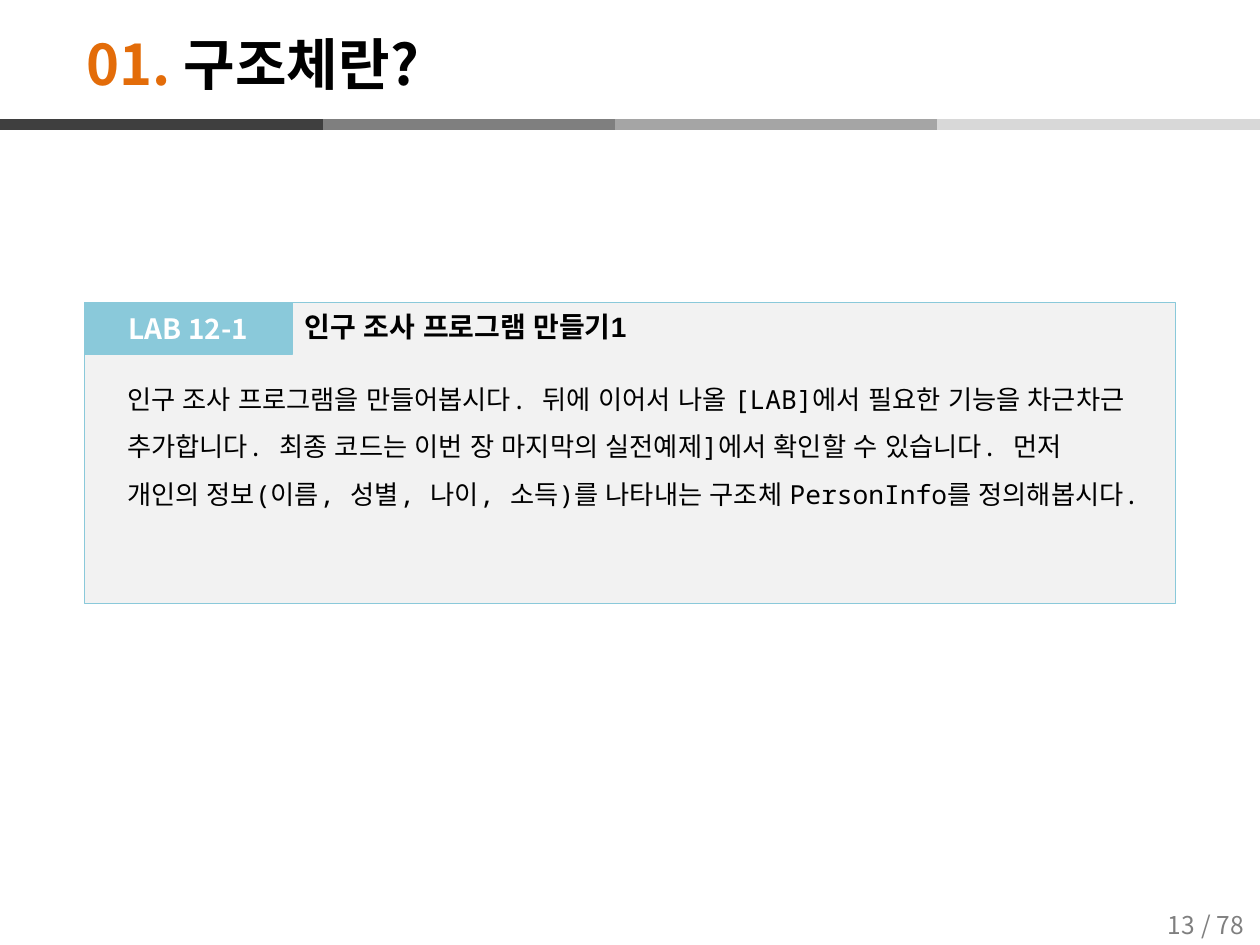
"""Build the slide that introduces LAB 12-1 on structures."""
from lxml import etree
from pptx import Presentation
from pptx.dml.color import RGBColor
from pptx.enum.lang import MSO_LANGUAGE_ID
from pptx.enum.shapes import MSO_CONNECTOR, MSO_SHAPE
from pptx.enum.text import MSO_ANCHOR, PP_ALIGN
from pptx.oxml.ns import qn
from pptx.util import Inches, Pt

RECT = MSO_SHAPE.RECTANGLE
STRAIGHT = MSO_CONNECTOR.STRAIGHT
LEFT, CENTER = PP_ALIGN.LEFT, PP_ALIGN.CENTER
TOP, MIDDLE = MSO_ANCHOR.TOP, MSO_ANCHOR.MIDDLE
KOREAN = MSO_LANGUAGE_ID.KOREAN

BLACK = RGBColor(0x00, 0x00, 0x00)
WHITE = RGBColor(0xFF, 0xFF, 0xFF)
ORANGE = RGBColor(0xE3, 0x6C, 0x09)
GRAY = RGBColor(0x7F, 0x7F, 0x7F)
PANEL = RGBColor(0xF2, 0xF2, 0xF2)
AQUA = RGBColor(0x8A, 0xC9, 0xDA)
RULE_COLORS = (GRAY, RGBColor(0xA5, 0xA5, 0xA5), RGBColor(0xD8, 0xD8, 0xD8))
RULE_START = RGBColor(0x3F, 0x3F, 0x3F)

SANS, MONO, ARIAL = "Noto Sans CJK KR", "Noto Sans Mono", "Arial"
TITLE = {"size": Pt(32), "bold": True, "name": SANS}
LABEL = {"size": Pt(16), "bold": True, "name": SANS}
HEADING = {"size": Pt(16), "bold": True, "name": ARIAL}
BODY = {"size": Pt(15), "name": MONO}
PAGE = {"size": Pt(14), "name": SANS}

BODY_TEXT = (
    "인구 조사 프로그램을 만들어봅시다. 뒤에 이어서 나올 [LAB]에서 필요한 기능을 "
    "차근차근 추가합니다. 최종 코드는 이번 장 마지막의 실전예제]에서 확인할 수 있습니다. "
    "먼저 개인의 정보(이름, 성별, 나이, 소득)를 나타내는 구조체 PersonInfo를 정의해봅시다."
)


class SlideBuilder:
    """Hold the current slide and draw its elements in one style."""

    def __init__(self, slide):
        self.slide = slide

    def rule(self, x, y, width, color):
        """Draw a thick horizontal rule."""
        line = self.slide.shapes.add_connector(
            STRAIGHT, Inches(x), Inches(y), Inches(x + width), Inches(y))
        line.line.color.rgb = color
        line.line.width = Pt(6)
        etree.SubElement(line._element.spPr, qn("a:effectLst"))

    def box(self, x, y, width, height, fill, weight):
        """Draw a filled rectangle with an aqua outline."""
        sp = self.slide.shapes.add_shape(
            RECT, Inches(x), Inches(y), Inches(width), Inches(height))
        sp.shadow.inherit = False
        sp.fill.solid()
        sp.fill.fore_color.rgb = fill
        sp.line.color.rgb = AQUA
        sp.line.width = Pt(weight)
        return sp

    def put_text(self, sp, runs, style, align=LEFT, anchor=MIDDLE, spacing=None):
        """Set (text, color) runs as one paragraph of a shape."""
        tf = sp.text_frame
        tf.word_wrap = True
        tf.vertical_anchor = anchor
        p = tf.paragraphs[0]
        p.alignment = align
        p.line_spacing = spacing
        for text, color in runs:
            r = p.add_run()
            r.text = text
            for key, value in style.items():
                setattr(r.font, key, value)
            r.font.language_id = KOREAN
            r.font.color.rgb = color
            etree.SubElement(r.font._element, qn("a:ea"), typeface=SANS)

    def text(self, x, y, width, height, runs, style, **layout):
        """Add a text box."""
        sp = self.slide.shapes.add_textbox(
            Inches(x), Inches(y), Inches(width), Inches(height))
        self.put_text(sp, runs, style, **layout)


def main():
    """Build and save the slide."""
    prs = Presentation()
    prs.slide_width, prs.slide_height = Inches(10), Inches(7.5)
    s = SlideBuilder(prs.slides.add_slide(prs.slide_layouts[6]))

    rule_width = 2.56
    for i, color in enumerate(RULE_COLORS):
        s.rule(2.32 + i * rule_width, 0.99, rule_width, color)
    s.rule(0, 0.99, rule_width, RULE_START)

    for x, text in ((9.35, "/ 78"), (9.02, "13")):
        s.text(x, 7.14, 0.71, 0.39, [(text, GRAY)], PAGE, align=CENTER)
    s.text(0.59, 0.2, 7.48, 0.6, [("01. ", ORANGE), ("구조체란?", BLACK)], TITLE)

    s.box(0.67, 2.4, 8.66, 2.39, PANEL, 1)
    label = s.box(0.67, 2.4, 1.65, 0.41, AQUA, 0.75)
    s.put_text(label, [("LAB 12-1", WHITE)], LABEL, align=CENTER)
    s.text(2.32, 2.41, 6.96, 0.37, [("인구 조사 프로그램 만들기1", BLACK)],
           HEADING, anchor=TOP)
    s.text(0.91, 2.87, 8.19, 1.57, [(BODY_TEXT, BLACK)], BODY,
           anchor=TOP, spacing=1.5)

    prs.save("out.pptx")


if __name__ == "__main__":
    main()
